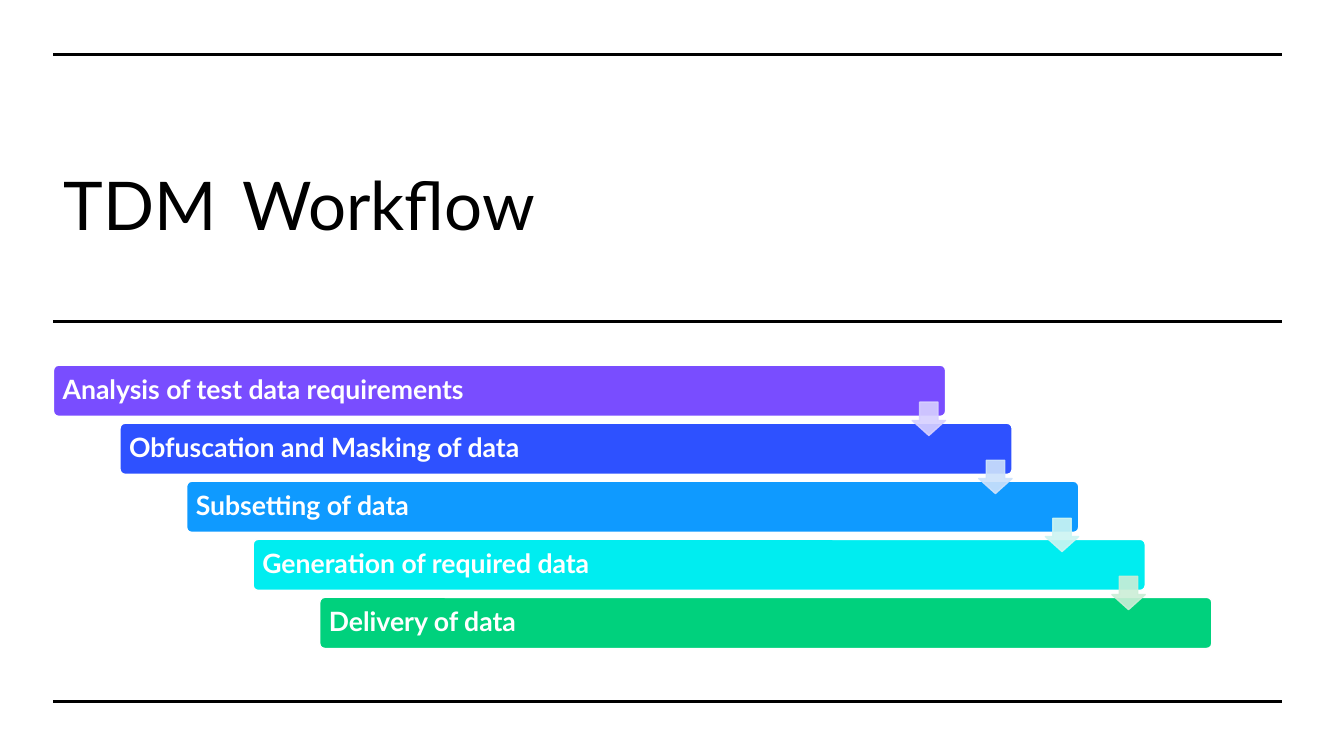
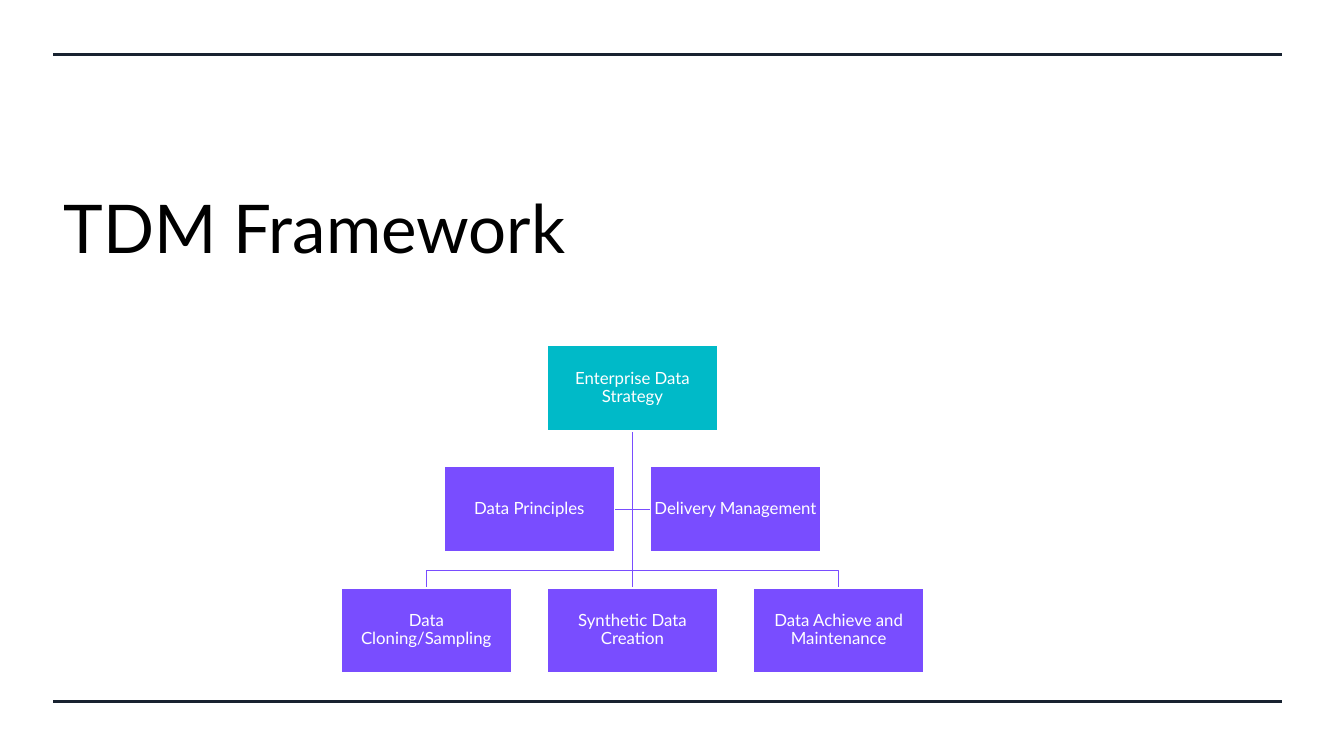
from dataclasses import dataclass

from lxml.etree import SubElement
from pptx import Presentation
from pptx.dml.color import RGBColor
from pptx.enum.shapes import MSO_CONNECTOR, MSO_SHAPE as SHAPE
from pptx.enum.text import MSO_ANCHOR as ANCHOR, PP_ALIGN as ALIGN
from pptx.oxml.ns import qn
from pptx.util import Pt


@dataclass(frozen=True)
class Theme:
    font: str = "Lato"
    black: str = "000000"
    white: str = "FFFFFF"
    navy: str = "182230"
    violet: str = "794DFF"
    teal: str = "00BAC8"
    title_size: float = 48
    title_gap_size: float = 72
    step_size: float = 19
    box_size: float = 12
    rule_weight: float = 2.25
    thin_weight: float = 1


THEME = Theme()
RULE_LEFT, RULE_RIGHT = 38.2, 915.8
RULE_TOP, RULE_MIDDLE, RULE_BOTTOM = 38.9, 229.7, 501.1
TITLE_TOP = 77


def add_block(slide, at, runs=(), kind=None, fill=None, color=THEME.white, bold=False,
              align=ALIGN.LEFT, inset=(7.2, 3.6), spacing=1.0, adjust=()):
    """Add a filled shape, or a text box if no kind is given; runs are (text, size) pairs."""
    box = [Pt(length) for length in at]
    if kind is None:
        block = slide.shapes.add_textbox(*box)
    else:
        block = slide.shapes.add_shape(kind, *box)
        block.shadow.inherit = False
        block.fill.solid()
        block.fill.fore_color.rgb = RGBColor.from_string(fill)
        block.line.color.rgb = RGBColor.from_string(color)
        block.line.width = Pt(THEME.thin_weight)
        for index, value in enumerate(adjust):
            block.adjustments[index] = value
    frame = block.text_frame
    frame.word_wrap = True
    frame.vertical_anchor = ANCHOR.MIDDLE
    frame.margin_left = frame.margin_right = Pt(inset[0])
    frame.margin_top = frame.margin_bottom = Pt(inset[1])
    paragraph = frame.paragraphs[0]
    paragraph.alignment = align
    paragraph.line_spacing = spacing
    for text, size in runs:
        run = paragraph.add_run()
        run.text = text
        run.font.name = THEME.font
        run.font.size = Pt(size)
        run.font.bold = bold
        run.font.color.rgb = RGBColor.from_string(color)
    return block


def add_line(slide, start, end, color, weight):
    line = slide.shapes.add_connector(
        MSO_CONNECTOR.STRAIGHT, *(Pt(length) for length in (*start, *end)))
    line.line.color.rgb = RGBColor.from_string(color)
    line.line.width = Pt(weight)
    SubElement(line._element.spPr, qn("a:effectLst"))
    return line


deck = Presentation()
deck.slide_width, deck.slide_height = Pt(960), Pt(540)

# Titles and rules
pages = [
    ([("TDM", THEME.title_size), (" ", THEME.title_gap_size), ("Workflow", THEME.title_size)],
     (662.4, 117.4), THEME.black, (RULE_TOP, RULE_MIDDLE, RULE_BOTTOM)),
    ([("TDM Framework", THEME.title_size)],
     (837.4, 169.9), THEME.navy, (RULE_TOP, RULE_BOTTOM)),
]
slides = []
for title, title_extent, rule_color, rule_heights in pages:
    slide = deck.slides.add_slide(deck.slide_layouts[6])
    for y in rule_heights:
        add_line(slide, (RULE_LEFT, y), (RULE_RIGHT, y), rule_color, THEME.rule_weight)
    add_block(slide, (RULE_LEFT, TITLE_TOP, *title_extent), title, color=THEME.black)
    slides.append(slide)
workflow, framework = slides

# Workflow: a staircase of steps, with an arrow from each to the next
STEP_LEFT, STEP_TOP, STEP_WIDTH, STEP_HEIGHT = 38.2, 260.9, 637.2, 36.5
STEP_SHIFT, STEP_DROP = 47.55, 41.45
ARROW_SIZE, ARROW_DROP = 23.8, 26.4
steps = [
    ("Analysis of test data requirements", THEME.violet, "D7D0FF"),
    ("Obfuscation and Masking of data", "2E51FF", "CDE2FB"),
    ("Subsetting of data", "0F9AFF", "CCF5F2"),
    ("Generation of required data", "00EDF0", "CBEED7"),
    ("Delivery of data", "00D17D", None),
]
corners = [(STEP_LEFT + i * STEP_SHIFT, STEP_TOP + i * STEP_DROP) for i in range(len(steps))]
for (label, step_color, _), (left, top) in zip(steps, corners):
    add_block(workflow, (left, top, STEP_WIDTH, STEP_HEIGHT), [(label, THEME.step_size)],
              kind=SHAPE.ROUNDED_RECTANGLE, fill=step_color, bold=True,
              inset=(5.5, 5), spacing=0.9, adjust=[0.1])
for (_, _, arrow_color), (left, top) in zip(steps[:-1], corners):
    arrow = add_block(
        workflow,
        (left + STEP_WIDTH - ARROW_SIZE, top + ARROW_DROP, ARROW_SIZE, ARROW_SIZE),
        kind=SHAPE.DOWN_ARROW, fill=arrow_color, color=arrow_color, adjust=[0.55, 0.45])
    for tint in arrow._element.spPr.iter(qn("a:srgbClr")):
        SubElement(tint, qn("a:alpha"), val="90000")

# Framework: the strategy, two supporting boxes and three branches
CENTER, CHART_TOP = 451.8, 246.9
BOX_WIDTH, BOX_HEIGHT = 121.8, 60.9
COLUMN_STEP, ROW_STEP = 147.3, 86.5
BRANCH_TOP = CHART_TOP + 2 * ROW_STEP
FORK_TOP = BRANCH_TOP - 12.6
support_y = CHART_TOP + ROW_STEP + BOX_HEIGHT / 2
support_gap = (COLUMN_STEP - BOX_WIDTH) / 2

trunk = add_line(framework, (CENTER, CHART_TOP + BOX_HEIGHT), (CENTER, BRANCH_TOP),
                 THEME.violet, THEME.thin_weight)
crossbar = add_line(framework, (CENTER - support_gap, support_y),
                    (CENTER + support_gap, support_y), THEME.violet, THEME.thin_weight)
fork_left, fork_right = CENTER - COLUMN_STEP, CENTER + COLUMN_STEP
outline = framework.shapes.build_freeform(Pt(fork_left), Pt(BRANCH_TOP))
outline.add_line_segments(
    [(Pt(x), Pt(y)) for x, y in ((fork_left, FORK_TOP), (fork_right, FORK_TOP),
                                 (fork_right, BRANCH_TOP))], close=False)
fork = outline.convert_to_shape()
fork.shadow.inherit = False
fork.fill.background()
fork.line.color.rgb = RGBColor.from_string(THEME.violet)
fork.line.width = Pt(THEME.thin_weight)

rows = [
    (["Enterprise Data Strategy"], THEME.teal),
    (["Data Principles", "Delivery Management"], THEME.violet),
    (["Data Cloning/Sampling", "Synthetic Data Creation", "Data Achieve and Maintenance"],
     THEME.violet),
]
boxes = {}
for row, (labels, box_color) in enumerate(rows):
    for column, label in enumerate(labels):
        left = CENTER + (column - (len(labels) - 1) / 2) * COLUMN_STEP - BOX_WIDTH / 2
        boxes[label] = add_block(
            framework, (left, CHART_TOP + row * ROW_STEP, BOX_WIDTH, BOX_HEIGHT),
            [(label, THEME.box_size)], kind=SHAPE.RECTANGLE, fill=box_color,
            align=ALIGN.CENTER, inset=(0.75, 0.75), spacing=0.9)

trunk.begin_connect(boxes["Enterprise Data Strategy"], 2)
trunk.end_connect(boxes["Synthetic Data Creation"], 0)
crossbar.begin_connect(boxes["Data Principles"], 3)
crossbar.end_connect(boxes["Delivery Management"], 1)

deck.save("out.pptx")
